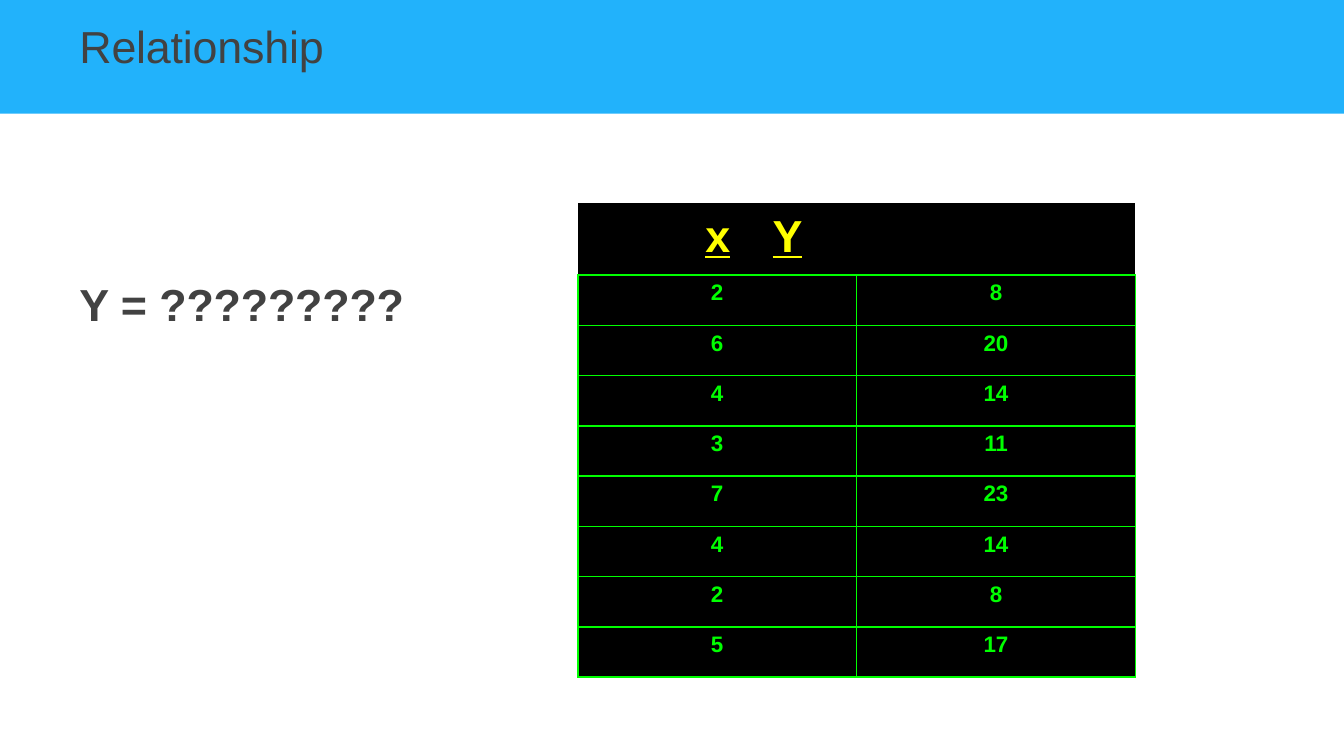
from dataclasses import dataclass

from lxml import etree
from pptx import Presentation
from pptx.dml.color import RGBColor
from pptx.enum.shapes import MSO_SHAPE
from pptx.enum.text import MSO_ANCHOR, MSO_AUTO_SIZE, PP_ALIGN
from pptx.oxml.ns import qn
from pptx.util import Cm, Pt

RECTANGLE = MSO_SHAPE.RECTANGLE
TOP = MSO_ANCHOR.TOP
NO_AUTOFIT = MSO_AUTO_SIZE.NONE
LEFT, CENTER = PP_ALIGN.LEFT, PP_ALIGN.CENTER

TITLE_ONLY_LAYOUT = 5
FONT = "Arial"
BLUE, GREY, BLACK = "22B2FB", "424242", "000000"
GREEN, YELLOW = "00FF00", "FFFF00"
HEADER_HEIGHT, ROW_HEIGHT, COLUMN_WIDTH = Cm(1.36), Cm(0.95), Cm(5.27)


@dataclass
class Point:
    x: int
    y: int


POINTS = [
    Point(2, 8), Point(6, 20), Point(4, 14), Point(3, 11),
    Point(7, 23), Point(4, 14), Point(2, 8), Point(5, 17),
]


def color(value: str) -> RGBColor:
    return RGBColor.from_string(value)


def add_text(paragraph, text: str, *, size=24, fill=GREY, bold=False,
             underline=False, spacing=0) -> None:
    run = paragraph.add_run()
    run.text = text
    font = run.font
    font.name, font.size, font.bold = FONT, Pt(size), bold
    font.underline = underline
    font.color.rgb = color(fill)
    if spacing:
        run._r.get_or_add_rPr().set("spc", str(spacing))


def prepare_frame(shape, left: float, top: float, width: float, height: float):
    shape.left, shape.top = Cm(left), Cm(top)
    shape.width, shape.height = Cm(width), Cm(height)
    frame = shape.text_frame
    frame.margin_left = frame.margin_right = frame.margin_bottom = 0
    frame.margin_top = Cm(0.03)
    frame.word_wrap = True
    frame.vertical_anchor = TOP
    frame.auto_size = NO_AUTOFIT
    paragraph = frame.paragraphs[0]
    paragraph.alignment = LEFT
    return paragraph


def set_border(cell, side: str, visible: bool) -> None:
    line = etree.SubElement(cell._tc.get_or_add_tcPr(), qn(f"a:ln{side}"), w=str(Pt(1)))
    if visible:
        fill = etree.SubElement(line, qn("a:solidFill"))
        etree.SubElement(fill, qn("a:srgbClr"), val=GREEN)
    else:
        etree.SubElement(line, qn("a:noFill"))


def style_cell(cell, sides: str, margin_top: float) -> None:
    for side in "LRTB":
        set_border(cell, side, side in sides)
    cell.fill.solid()
    cell.fill.fore_color.rgb = color(BLACK)
    cell.margin_left = cell.margin_right = cell.margin_bottom = 0
    cell.margin_top = Cm(margin_top)
    cell.vertical_anchor = TOP


def add_banner(slide, width: int) -> None:
    banner = slide.shapes.add_shape(RECTANGLE, 0, 0, width, Cm(2.15))
    banner.shadow.inherit = False
    banner.fill.solid()
    banner.fill.fore_color.rgb = color(BLUE)
    banner.line.fill.background()
    slide.shapes._spTree.insert(2, banner._element)


def add_header(table) -> None:
    header = table.cell(0, 0)
    header.merge(table.cell(0, 1))
    for cell in table.rows[0].cells:
        style_cell(cell, "B", 0.16)
    paragraph = header.text_frame.paragraphs[0]
    properties = paragraph._p.get_or_add_pPr()
    properties.set("marL", str(Cm(2.41)))
    properties.set("indent", "0")
    tabs = etree.SubElement(properties, qn("a:tabLst"))
    etree.SubElement(tabs, qn("a:tab"), pos=str(Cm(7.62)), algn="l")
    add_text(paragraph, "x", fill=YELLOW, bold=True, underline=True)
    add_text(paragraph, "\t", fill=YELLOW, bold=True)
    add_text(paragraph, "Y", fill=YELLOW, bold=True, underline=True)


def add_points_table(slide, points: list[Point]) -> None:
    height = HEADER_HEIGHT + ROW_HEIGHT * len(points)
    table = slide.shapes.add_table(
        len(points) + 1, 2, Cm(10.92), Cm(3.84), COLUMN_WIDTH * 2, height).table
    table.first_row = table.horz_banding = False
    for column in table.columns:
        column.width = COLUMN_WIDTH
    for row in table.rows:
        row.height = ROW_HEIGHT
    table.rows[0].height = HEADER_HEIGHT
    add_header(table)
    for row_index, point in enumerate(points, start=1):
        for column_index, value in enumerate((point.x, point.y)):
            cell = table.cell(row_index, column_index)
            style_cell(cell, "LRTB", 0.1)
            paragraph = cell.text_frame.paragraphs[0]
            paragraph.alignment = CENTER
            add_text(paragraph, str(value), size=12, fill=GREEN, bold=True,
                     spacing=-10 if value > 9 else 0)


def main() -> None:
    presentation = Presentation()
    presentation.slide_width, presentation.slide_height = Cm(25.4), Cm(14.29)
    slide = presentation.slides.add_slide(presentation.slide_layouts[TITLE_ONLY_LAYOUT])
    add_banner(slide, presentation.slide_width)

    title = prepare_frame(slide.shapes.title, 1.5, 0.33, 4.75, 1.09)
    add_text(title, "Relationship", spacing=-10)

    formula_box = slide.shapes.add_textbox(0, 0, 0, 0)
    formula = prepare_frame(formula_box, 1.5, 5.21, 6.25, 1.09)
    add_text(formula, "Y = ", bold=True)
    add_text(formula, "?????????", bold=True, spacing=-10)

    add_points_table(slide, POINTS)
    presentation.save("out.pptx")


if __name__ == "__main__":
    main()
